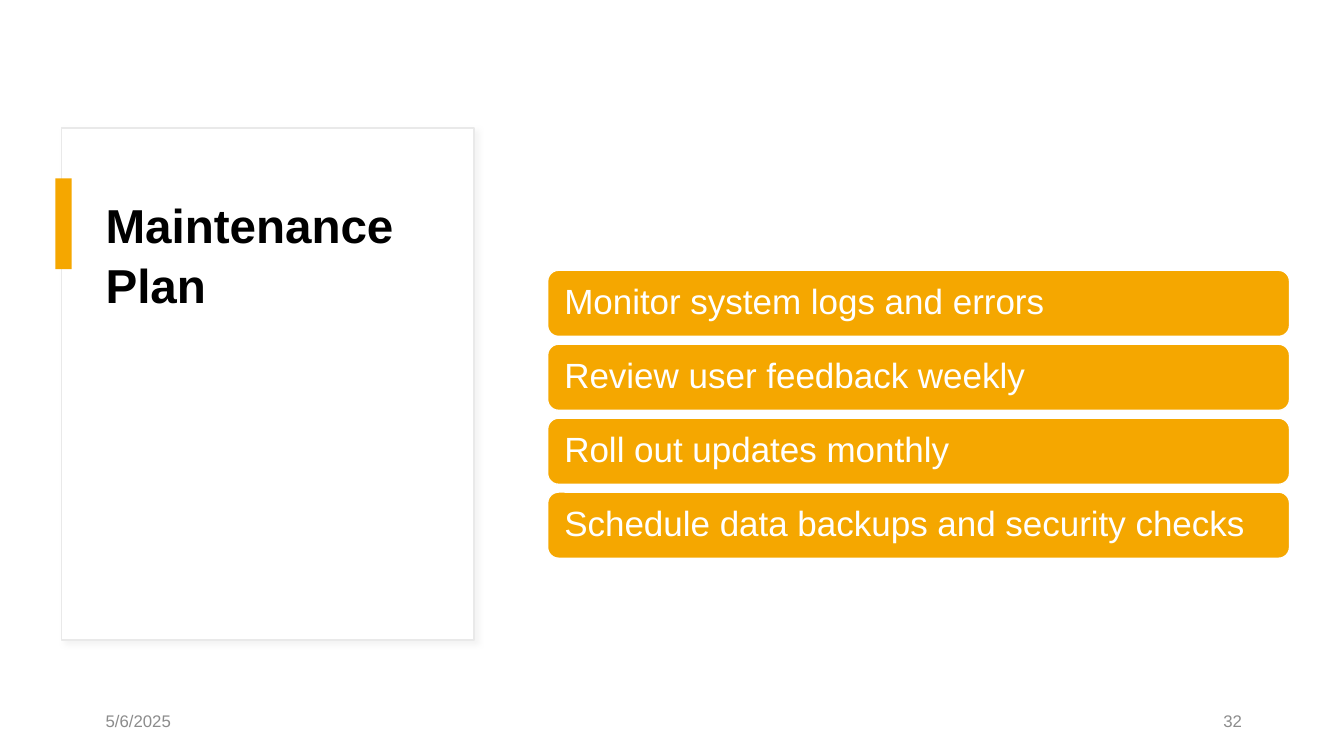
"""Build the maintenance plan slide: a title card beside four task bars."""
from lxml import etree
from pptx import Presentation
from pptx import util as u
from pptx.dml.color import RGBColor
from pptx.enum import shapes, text

HUES = {"gold": "F5A700", "white": "FFFFFF", "edge": "E9E9E9",
        "shade": "D9D9D9", "black": "000000", "gray": "8C8C8C"}
TASKS = ["Monitor system logs and errors", "Review user feedback weekly",
         "Roll out updates monthly", "Schedule data backups and security checks"]
KIND = shapes.MSO_SHAPE
ALIGN = text.PP_ALIGN
MID = text.MSO_ANCHOR.MIDDLE
NS = "http://schemas.openxmlformats.org/drawingml/2006/main"

deck = Presentation()
deck.slide_width, deck.slide_height = u.Inches(13.33), u.Inches(7.5)
slide = deck.slides.add_slide(deck.slide_layouts[6])
col, row = deck.slide_width / 100, deck.slide_height / 100


def block(kind, left, top, width, height, fill, line=None):
    """Add a filled shape, placed in percent of the slide."""
    shape = slide.shapes.add_shape(kind, int(left * col), int(top * row),
                                   int(width * col), int(height * row))
    shape.shadow.inherit = False
    shape.fill.solid()
    shape.fill.fore_color.rgb = RGBColor.from_string(HUES[fill])
    if line:
        shape.line.color.rgb = RGBColor.from_string(HUES[line])
        shape.line.width = u.Pt(1)
    else:
        shape.line.fill.background()
    return shape


def write(shape, words, size, hue, anchor=MID, align=ALIGN.LEFT):
    """Put one styled paragraph in a shape and return the paragraph."""
    frame = shape.text_frame
    frame.text = words
    frame.word_wrap = True
    frame.vertical_anchor = anchor
    para = frame.paragraphs[0]
    para.alignment = align
    font = para.runs[0].font
    font.name, font.size = "Arial", u.Pt(size)
    font.color.rgb = RGBColor.from_string(HUES[hue])
    return para


card = block(KIND.RECTANGLE, 4.58, 16.93, 30.7, 67.73, "white", "edge")
glow = etree.SubElement(card.element.spPr.find(f"{{{NS}}}effectLst"),
                        f"{{{NS}}}outerShdw", blurRad=str(u.Pt(4)),
                        dist=str(u.Pt(3)), dir="2700000", algn="tl")
tint = etree.SubElement(glow, f"{{{NS}}}srgbClr", val=HUES["shade"])
etree.SubElement(tint, f"{{{NS}}}alpha", val="30000")

block(KIND.RECTANGLE, 4.13, 23.6, 1.2, 12, "gold")

title = slide.shapes.add_textbox(int(7.12 * col), int(24.93 * row),
                                 int(25.43 * col), int(24.93 * row))
head = write(title, "Maintenance Plan", 34, "black", text.MSO_ANCHOR.TOP)
head.line_spacing = 1.05
head.runs[0].font.bold = True

for step, task in enumerate(TASKS):
    bar = block(KIND.ROUNDED_RECTANGLE, 40.75, 35.75 + 9.78 * step, 55.2, 8.75,
                "gold", "white")
    bar.text_frame.margin_left = int(col)
    write(bar, task, 25, "white").line_spacing = 0.9

for left, words, align in [(7.12, "5/6/2025", ALIGN.LEFT),
                           (70.65, "32", ALIGN.RIGHT)]:
    foot = slide.shapes.add_textbox(int(left * col), int(92.67 * row),
                                    int(22.5 * col), int(5.33 * row))
    write(foot, words, 12, "gray", align=align).space_after = u.Pt(6)

deck.save("out.pptx")
